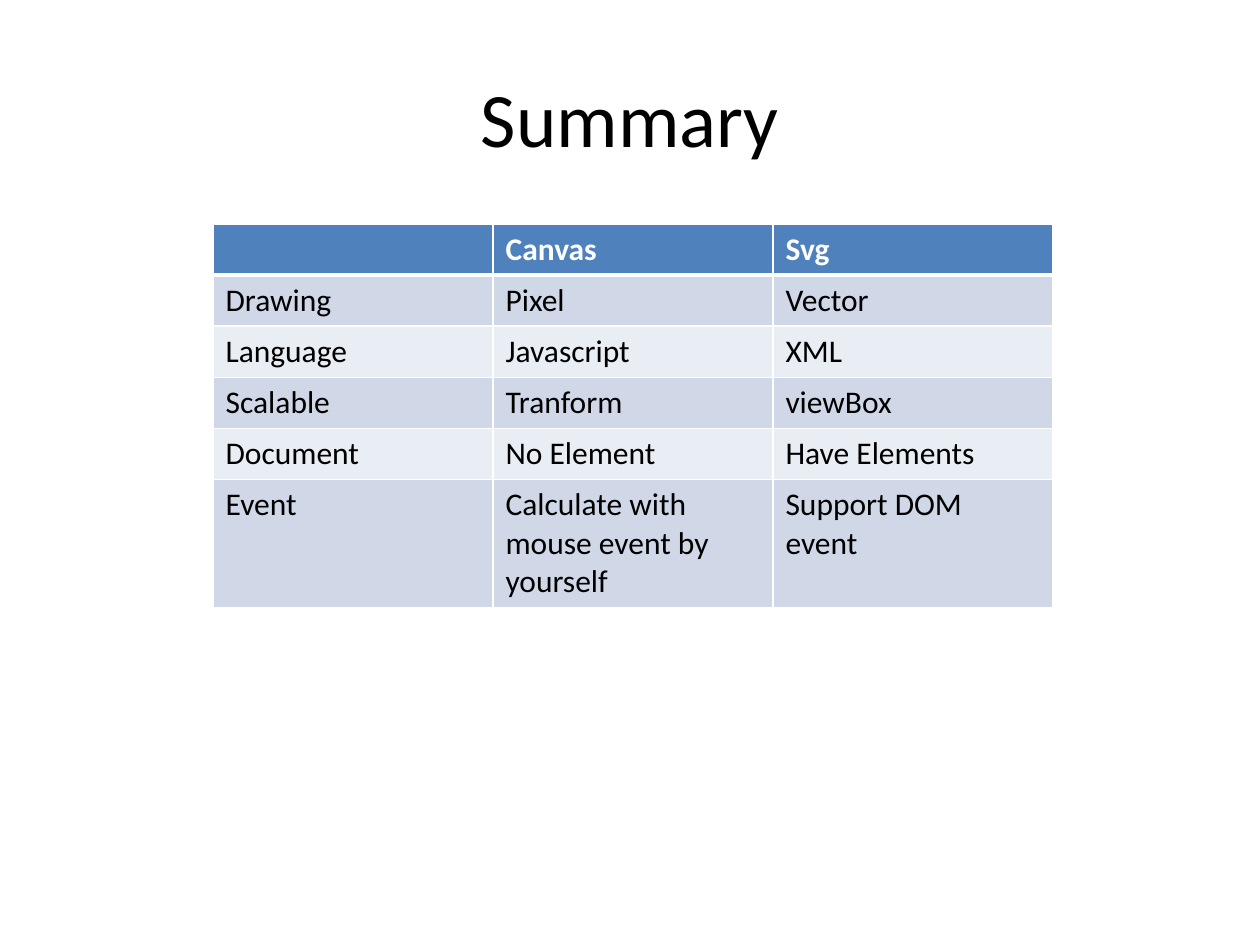
from lxml.etree import SubElement
from pptx import Presentation
from pptx.dml.color import RGBColor
from pptx.enum.text import MSO_ANCHOR, PP_ALIGN
from pptx.oxml.ns import qn
from pptx.util import Pt

EMU_PER_PX = 914400 / 126
WHITE = RGBColor(0xFF, 0xFF, 0xFF)
BLACK = RGBColor(0, 0, 0)
HEADER_BLUE = RGBColor(0x4F, 0x81, 0xBD)
BANDS = [RGBColor(0xD0, 0xD8, 0xE8), RGBColor(0xE9, 0xED, 0xF4)]

TITLE_FONT = {"name": "Calibri", "size": Pt(44), "bold": False}
HEADER_FONT = {"name": "Calibri", "size": Pt(18), "bold": True}
BODY_FONT = HEADER_FONT | {"bold": False}

COLUMN_WIDTH = 280
ROW_HEIGHTS = [51] * 5 + [127]
COMPARISON = [
    ["", "Canvas", "Svg"],
    ["Drawing", "Pixel", "Vector"],
    ["Language", "Javascript", "XML"],
    ["Scalable", "Tranform", "viewBox"],
    ["Document", "No Element", "Have Elements"],
    ["Event", "Calculate with mouse event by yourself", "Support DOM event"],
]


def px(length):
    return round(length * EMU_PER_PX)


def set_attributes(target, values):
    for name, value in values.items():
        setattr(target, name, value)


def format_font(font, values, color):
    set_attributes(font, values)
    font.color.rgb = color


def add_title(slide, text):
    title = slide.shapes.title
    set_attributes(title, {"left": px(63), "top": px(38), "width": px(1134), "height": px(157)})
    title.text_frame.text = text
    title.text_frame.vertical_anchor = MSO_ANCHOR.MIDDLE
    paragraph = title.text_frame.paragraphs[0]
    paragraph.alignment = PP_ALIGN.CENTER
    format_font(paragraph.runs[0].font, TITLE_FONT, BLACK)


def set_borders(cell, widths):
    """Draw white borders; widths maps each side's tag to points."""
    properties = cell._tc.get_or_add_tcPr()
    for tag, width in widths.items():
        line = SubElement(properties, qn(f"a:{tag}"), w=str(Pt(width)))
        fill = SubElement(line, qn("a:solidFill"))
        SubElement(fill, qn("a:srgbClr"), val=str(WHITE))


def fill_cell(cell, text, row):
    is_header = row == 0
    bottom = 3 if is_header else 1
    top = 3 if row == 1 else 1
    set_borders(cell, {"lnL": 1, "lnR": 1, "lnT": top, "lnB": bottom})
    cell.fill.solid()
    cell.fill.fore_color.rgb = HEADER_BLUE if is_header else BANDS[(row - 1) % 2]
    cell.text = text
    format_font(cell.text_frame.paragraphs[0].font,
                HEADER_FONT if is_header else BODY_FONT,
                WHITE if is_header else BLACK)
    for run in cell.text_frame.paragraphs[0].runs:
        format_font(run.font, HEADER_FONT if is_header else BODY_FONT,
                    WHITE if is_header else BLACK)


def add_comparison_table(slide, left, top):
    columns = len(COMPARISON[0])
    table = slide.shapes.add_table(
        len(COMPARISON), columns, px(left), px(top),
        px(COLUMN_WIDTH * columns), px(sum(ROW_HEIGHTS))).table
    for column in table.columns:
        column.width = px(COLUMN_WIDTH)
    for row, texts in enumerate(COMPARISON):
        table.rows[row].height = px(ROW_HEIGHTS[row])
        for column, text in enumerate(texts):
            fill_cell(table.cell(row, column), text, row)


def main():
    presentation = Presentation()
    set_attributes(presentation, {"slide_width": px(1260), "slide_height": px(945)})
    slide = presentation.slides.add_slide(presentation.slide_layouts[5])
    add_title(slide, "Summary")
    add_comparison_table(slide, 213, 224)
    presentation.save("out.pptx")


if __name__ == "__main__":
    main()
